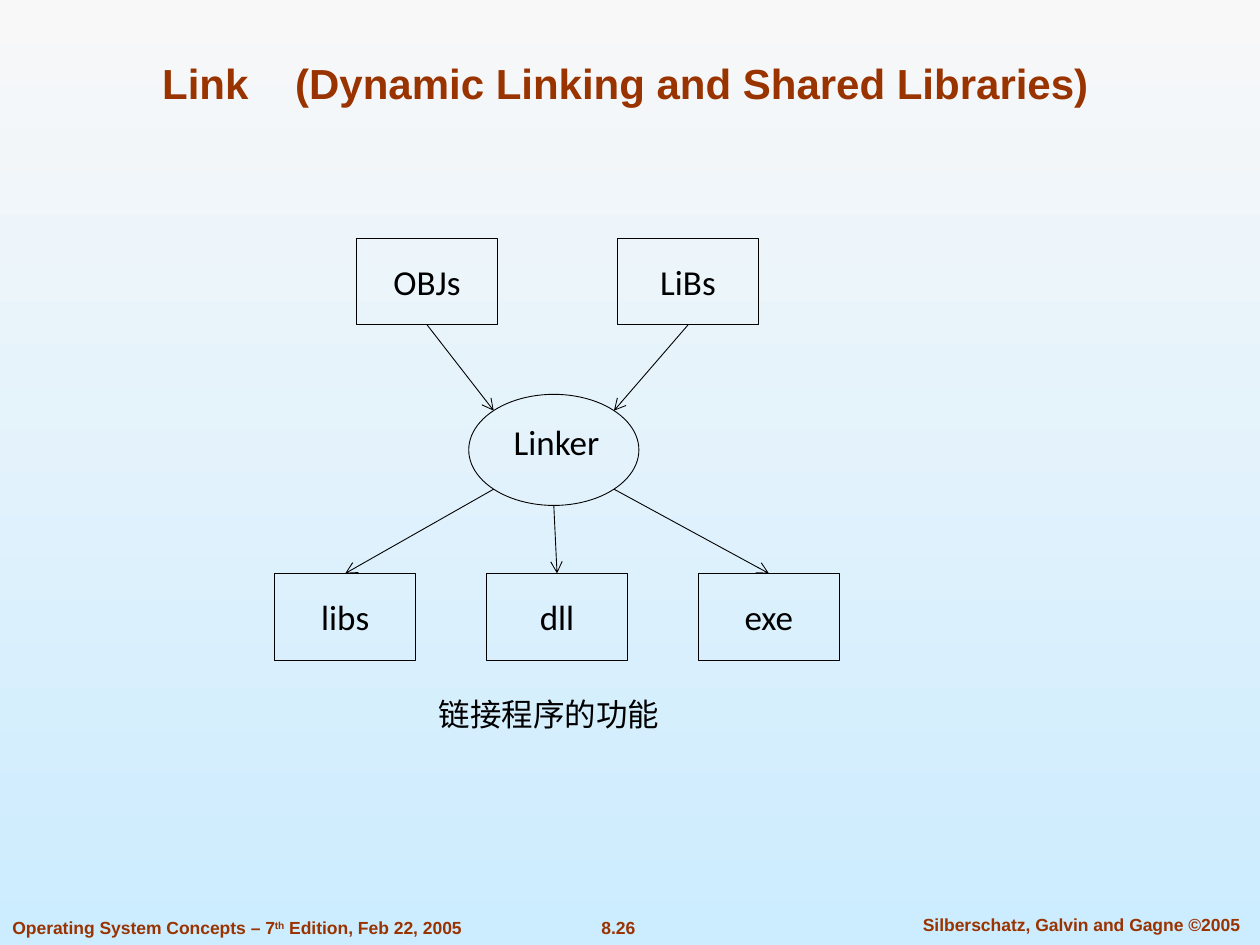
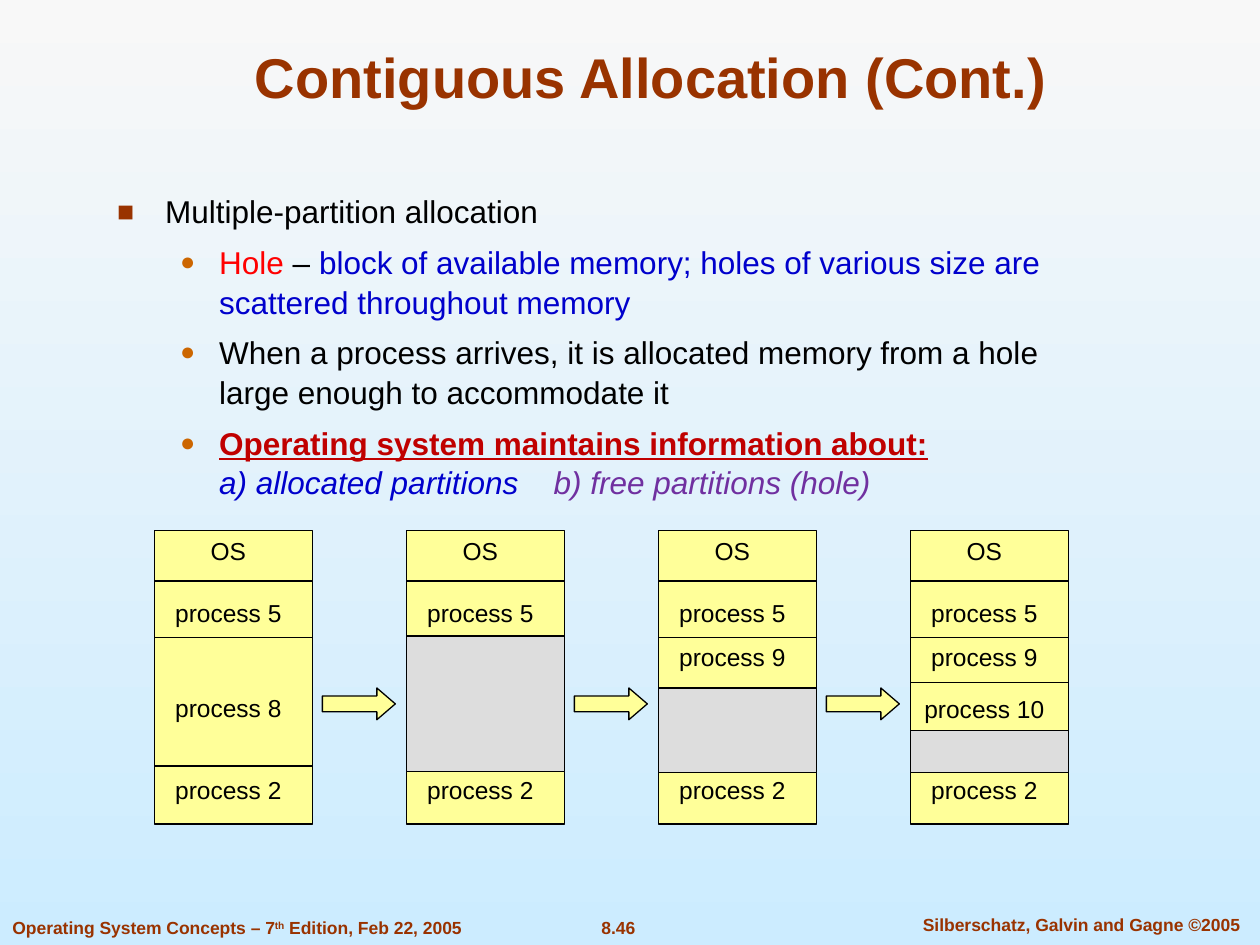
from dataclasses import dataclass
from math import sqrt

from pptx import Presentation
from pptx import util as u
from pptx.dml.color import RGBColor
from pptx.enum import shapes, text
from pptx.oxml import ns, xmlchemy


@dataclass(frozen=True)
class Theme:
    sky_top: str = "F8F8F8"
    sky_bottom: str = "CCECFF"
    brand: str = "993300"
    bullet: str = "CC6600"
    ink: str = "000000"
    red: str = "FF0000"
    dark_red: str = "C00000"
    blue: str = "0000CC"
    purple: str = "7030A0"
    memory: str = "FFFF99"
    hole: str = "DDDDDD"
    font: str = "Arial"
    diagram_font: str = "Calibri"
    title: int = 32
    long_title: int = 24
    node: int = 20
    body: int = 18
    label: int = 14
    footer: int = 10
    thin: float = 0.5
    line: float = 0.75


T = Theme()
ALIGN = text.PP_ALIGN
ANCHOR = text.MSO_ANCHOR
SHAPE = shapes.MSO_SHAPE


# --- shared helpers; every box is (left, top, width, height) in cm ---
def add_element(parent, tag, **attributes):
    child = xmlchemy.OxmlElement(tag)
    for name, value in attributes.items():
        child.set(name, str(value))
    parent.append(child)
    return child


def add_span(para, words, size, color=T.ink, font=T.font, bold=False,
             italic=False, underline=False, raised=False, gap=0):
    span = para.add_run()
    span.text = words
    span.font.size = u.Pt(size)
    span.font.name = font
    span.font.bold = bold
    span.font.italic = italic
    span.font.underline = underline
    span.font.color.rgb = RGBColor.from_string(color)
    properties = span.font._element
    if raised:
        properties.set("baseline", "30000")
    if gap:  # extra width after each letter, in points
        properties.set("spc", str(gap * 100))


def prepare_frame(shape, anchor=ANCHOR.MIDDLE):
    frame = shape.text_frame
    frame.word_wrap = True
    frame.vertical_anchor = anchor
    frame.margin_left = frame.margin_right = 0
    frame.margin_top = frame.margin_bottom = 0
    return frame


def add_text(page, box, spans, align=ALIGN.CENTER, anchor=ANCHOR.MIDDLE, **style):
    shape = page.shapes.add_textbox(*map(u.Cm, box))
    para = prepare_frame(shape, anchor).paragraphs[0]
    para.alignment = align
    for words, extra in spans:
        add_span(para, words, **style, **extra)


def add_box(page, kind, box, fill=None, weight=T.line):
    shape = page.shapes.add_shape(kind, *map(u.Cm, box))
    shape.shadow.inherit = False
    if fill:
        shape.fill.solid()
        shape.fill.fore_color.rgb = RGBColor.from_string(fill)
    else:
        shape.fill.background()
    shape.line.color.rgb = RGBColor.from_string(T.ink)
    shape.line.width = u.Pt(weight)
    return shape


def add_line(page, start, end, weight=T.line, arrow=False):
    line = page.shapes.add_connector(
        shapes.MSO_CONNECTOR.STRAIGHT, *map(u.Cm, (*start, *end)))
    line.line.color.rgb = RGBColor.from_string(T.ink)
    line.line.width = u.Pt(weight)
    properties = line._element.spPr
    if arrow:
        add_element(properties.find(ns.qn("a:ln")), "a:tailEnd", type="arrow")
    add_element(properties, "a:effectLst")


def add_page(deck, number):
    page = deck.slides.add_slide(deck.slide_layouts[6])

    # Background
    fill = page.background.fill
    fill.gradient()
    fill.gradient_angle = 270
    for stop, color in zip(fill.gradient_stops, (T.sky_top, T.sky_bottom)):
        stop.color.rgb = RGBColor.from_string(color)

    # Footer
    style = dict(size=T.footer, color=T.brand, bold=True)
    edition = [("Operating System Concepts – 7", {}), ("th", {"raised": True}),
               (" Edition, Feb 22, 2005", {})]
    add_text(page, (0.25, 18.36, 10.4, 0.69), edition, ALIGN.LEFT, **style)
    add_text(page, (11.79, 18.36, 1.35, 0.69), [(number, {})], **style)
    add_text(page, (18.23, 18.29, 7.14, 0.69),
             [("Silberschatz, Galvin and Gagne ©2005", {})], **style)
    return page


def add_title(page, box, spans, size, **placement):
    add_text(page, box, spans, size=size, color=T.brand, bold=True, **placement)


# --- linker diagram ---
def draw_linker(page, left, top):
    node_w, node_h, outputs_y = 2.84, 1.75, 6.76
    style = dict(size=T.node, font=T.diagram_font)

    def add_node(name, x, y):
        node = add_box(page, SHAPE.RECTANGLE, (left + x, top + y, node_w, node_h),
                       weight=T.thin)
        para = prepare_frame(node).paragraphs[0]
        para.alignment = ALIGN.CENTER
        add_span(para, name, **style)
        return left + x + node_w / 2

    # Inputs and outputs
    inputs = [add_node(name, x, 0) for name, x in (("OBJs", 1.65), ("LiBs", 6.91))]
    outputs = [add_node(name, i * 4.27, outputs_y)
               for i, name in enumerate(("libs", "dll", "exe"))]

    # Linker
    width, height = 3.43, 2.24
    x, y = left + 3.91, top + 3.15
    add_box(page, SHAPE.OVAL, (x, y, width, height), weight=T.thin)
    add_text(page, (left + 4.09, top + 3.23, 3.18, node_h), [("Linker", {})], **style)

    # Arrows meet the ellipse at its diagonals and its bottom
    mid_x, mid_y = x + width / 2, y + height / 2
    dx, dy = width / sqrt(8), height / sqrt(8)
    for node_x, port_x in zip(inputs, (mid_x - dx, mid_x + dx)):
        add_line(page, (node_x, top + node_h), (port_x, mid_y - dy), T.thin, True)
    ports = [(mid_x - dx, mid_y + dy), (mid_x, y + height), (mid_x + dx, mid_y + dy)]
    for port, node_x in zip(ports, outputs):
        add_line(page, port, (node_x, top + outputs_y), T.thin, True)

    # Caption
    add_text(page, (left + 2.01, top + 8.71, 7.04, node_h), [("链接程序的功能", {})],
             size=T.body, font=T.diagram_font)


def build_link_page(deck):
    page = add_page(deck, "8.26")
    add_title(page, (3.27, 1.04, 19.8, 1.27),
              [("Link", {}), (" ", {"gap": 20}),
               ("(Dynamic Linking and Shared Libraries)", {})],
              T.long_title, align=ALIGN.LEFT)
    draw_linker(page, 5.54, 4.8)


# --- contiguous allocation ---
# Bullet levels: left margin, hanging indent, sign, colour, size in percent
LEVELS = [(0.97, 0.97, "■", T.brand, 90), (2.06, 0.79, "●", T.bullet, 80)]

POINTS = [
    (0, [("Multiple-partition allocation", {})]),
    (1, [("Hole", {"color": T.red}), (" – ", {}),
         ("block of available memory; holes of various size are "
          "scattered throughout memory", {"color": T.blue})]),
    (1, [("When a process arrives, it is allocated memory from a hole "
          "large enough to accommodate it", {})]),
    (1, [("Operating system maintains information about:",
          {"color": T.dark_red, "bold": True, "underline": True}),
         ("\n", {}),
         ("a) allocated partitions", {"color": T.blue, "italic": True}),
         (" ", {"gap": 15}),
         ("b) free partitions (hole)", {"color": T.purple, "italic": True})]),
]

# Offsets from the top of a memory column: labels, dividers, hole (top, height)
LABEL_Y = {"OS": 0, "process 5": 1.24, "process 8": 3.15, "process 9": 2.13,
           "process 10": 3.18, "process 2": 4.8}
DIVIDERS = (1.02, 2.16, 4.75)
STATES = [
    (["process 8"], (), None),
    ([], (), (2.13, 2.74)),
    (["process 9"], (), (3.18, 1.7)),
    (["process 9", "process 10"], (3.07,), (4.04, 0.84)),
]


def add_points(page, box):
    frame = prepare_frame(page.shapes.add_textbox(*map(u.Cm, box)), ANCHOR.TOP)
    for i, (level, spans) in enumerate(POINTS):
        para = frame.add_paragraph() if i else frame.paragraphs[0]
        para.level = level
        para.line_spacing = 1.05
        para.space_before = u.Pt(6.3 if i else 0)
        margin, hang, sign, color, percent = LEVELS[level]
        properties = para._element.get_or_add_pPr()
        properties.set("marL", str(u.Cm(margin)))
        properties.set("indent", str(-u.Cm(hang)))
        add_element(add_element(properties, "a:buClr"), "a:srgbClr", val=color)
        add_element(properties, "a:buSzPct", val=percent * 1000)
        add_element(properties, "a:buFont", typeface=T.font)
        add_element(properties, "a:buChar", char=sign)
        for words, style in spans:
            if words == "\n":
                para.add_line_break()
            else:
                add_span(para, words, T.body, **style)


def draw_memory(page, box, processes, extra_dividers, hole):
    left, top, width, height = box
    add_box(page, SHAPE.RECTANGLE, box, T.memory)
    for y in DIVIDERS + extra_dividers:
        add_line(page, (left, top + y), (left + width, top + y))
    if hole:
        add_box(page, SHAPE.RECTANGLE, (left, top + hole[0], width, hole[1]), T.hole)
    for name in ["OS", "process 5", *processes, "process 2"]:
        add_text(page, (left, top + LABEL_Y[name], 2.97, 0.84), [(name, {})],
                 size=T.label)


def build_allocation_page(deck):
    page = add_page(deck, "8.46")
    add_title(page, (1.91, 0.64, 22.43, 1.57), [("Contiguous Allocation (Cont.)", {})],
              T.title, anchor=ANCHOR.BOTTOM)
    add_points(page, (2.36, 3.84, 19.91, 6.53))

    # Memory states with an arrow between neighbours
    top, pitch = 10.69, 5.08
    for i, state in enumerate(STATES):
        left = 3.12 + i * pitch
        draw_memory(page, (left, top, 3.18, 5.92), *state)
        if i < len(STATES) - 1:
            arrow = add_box(page, SHAPE.RIGHT_ARROW,
                            (left + 3.38, top + 3.18, 1.47, 0.64), T.memory)
            arrow.adjustments[1] = 0.58


def main():
    deck = Presentation()
    deck.slide_width, deck.slide_height = u.Cm(25.4), u.Cm(19.05)
    build_link_page(deck)
    build_allocation_page(deck)
    deck.save("out.pptx")


if __name__ == "__main__":
    main()
